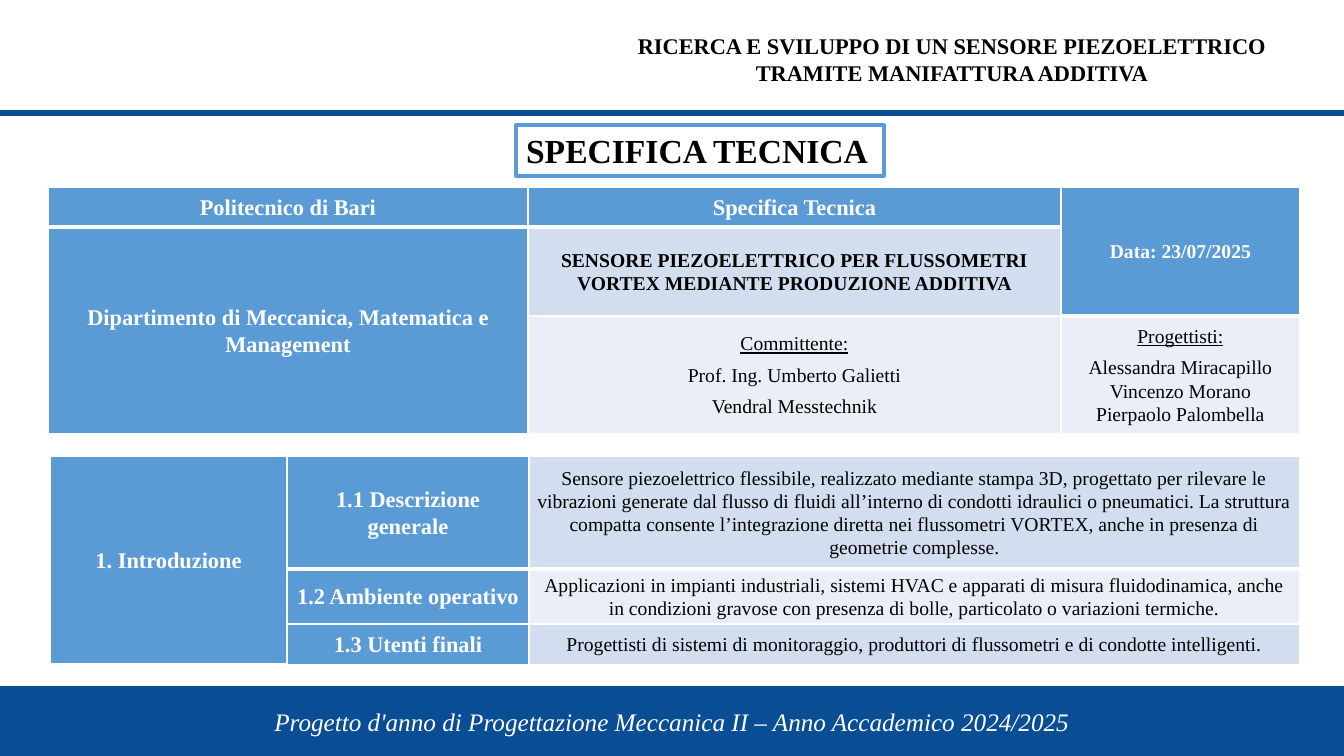
from dataclasses import dataclass

from lxml.etree import SubElement
from pptx import Presentation
from pptx.dml.color import RGBColor as Rgb
from pptx.enum.shapes import MSO_CONNECTOR as Link, MSO_SHAPE as Form
from pptx.enum.text import MSO_ANCHOR as Anchor, MSO_AUTO_SIZE as Auto, PP_ALIGN as Align
from pptx.oxml.ns import qn
from pptx.util import Emu, Pt

WIDE, HIGH = 1344, 756


@dataclass(frozen=True)
class Theme:
    """Colours, font and type sizes of the slide."""
    font: str = "Times New Roman"
    navy: str = "094D94"
    blue: str = "5B9BD5"
    band: str = "D2DEEF"
    pale: str = "EAEFF7"
    white: str = "FFFFFF"
    black: str = "000000"
    title: int = 24
    foot: int = 18
    head: int = 16
    body: int = 14


LOOK = Theme()


def px(size):
    """Turn whole pixels into EMU."""
    return Emu(round(size * 914400 / 100.8))


def write(frame, text, size=LOOK.body, color=LOOK.black, bold=False, italic=False,
          under=False, align=Align.CENTER, space=1.0, before=0, after=0):
    """Add one paragraph per line of text, all in the same format."""
    for line in text.split("\n"):
        para = frame.add_paragraph() if frame.text else frame.paragraphs[0]
        para.alignment, para.line_spacing = align, space
        para.space_before, para.space_after = Pt(before), Pt(after)
        run = para.add_run()
        run.text = line
        font = run.font
        font.name, font.size = LOOK.font, Pt(size)
        font.bold, font.italic, font.underline = bold, italic, under
        font.color.rgb = Rgb.from_string(color)


def stroke(line, color, width):
    """Give a line its colour and width in points."""
    line.color.rgb = Rgb.from_string(color)
    line.width = Pt(width)


def place(shape, left, top, width, height):
    """Set the place and size of a shape."""
    shape.left, shape.top = px(left), px(top)
    shape.width, shape.height = px(width), px(height)


def rule(slide, top):
    """Draw the line under the header."""
    line = slide.shapes.add_connector(Link.STRAIGHT, px(-2), px(top), px(WIDE), px(top))
    stroke(line.line, LOOK.navy, 4)
    SubElement(line._element.spPr, qn("a:effectLst"))


def header(slide, text):
    """Add the project name at the top right."""
    box = slide.shapes.add_textbox(px(592), px(27), px(720), px(65))
    box.text_frame.word_wrap = True
    write(box.text_frame, text, size=LOOK.head, bold=True)


def heading(slide, text):
    """Format the title placeholder as a framed box."""
    title = slide.shapes.title
    place(title, 516, 125, 368, 51)
    stroke(title.line, LOOK.blue, 3)
    frame = title.text_frame
    frame.word_wrap, frame.auto_size = True, Auto.NONE
    frame.vertical_anchor = Anchor.TOP
    write(frame, text, size=LOOK.title, bold=True, align=Align.LEFT)


def footer(slide, text):
    """Add the band at the foot of the slide."""
    top = 687
    bar = slide.shapes.add_shape(Form.RECTANGLE, 0, px(top), px(WIDE), px(HIGH - top))
    bar.shadow.inherit = False
    bar.fill.solid()
    bar.fill.fore_color.rgb = Rgb.from_string(LOOK.navy)
    stroke(bar.line, LOOK.navy, 1)
    bar.text_frame.vertical_anchor = Anchor.MIDDLE
    write(bar.text_frame, text, size=LOOK.foot, color=LOOK.white, italic=True)


def border(cell, first):
    """Add white cell borders, thick below the first row."""
    props = cell._tc.get_or_add_tcPr()
    for spot, side in enumerate(("lnL", "lnR", "lnT", "lnB")):
        width = 3 if first and side == "lnB" else 1
        edge = props.makeelement(qn(f"a:{side}"), {"w": str(Pt(width))})
        fill = SubElement(edge, qn("a:solidFill"))
        SubElement(fill, qn("a:srgbClr"), val=LOOK.white)
        props.insert(spot, edge)


def grid(slide, left, top, cols, rows, spans):
    """Add a plain table with merged cells and white borders."""
    frame = slide.shapes.add_table(len(rows), len(cols), px(left), px(top),
                                   px(sum(cols)), px(sum(rows)))
    table = frame.table
    table.first_row = table.horz_banding = False
    for col, width in zip(table.columns, cols):
        col.width = px(width)
    for row, height in zip(table.rows, rows):
        row.height = px(height)
    for start, end in spans:
        table.cell(*start).merge(table.cell(*end))
    for at, row in enumerate(table.rows):
        for cell in row.cells:
            border(cell, at == 0)
    return table


def fill(table, row, col, color):
    """Colour and pad one cell, and return its text frame."""
    cell = table.cell(row, col)
    cell.fill.solid()
    cell.fill.fore_color.rgb = Rgb.from_string(color)
    cell.vertical_anchor = Anchor.MIDDLE
    cell.margin_left = cell.margin_right = px(7)
    cell.margin_top = cell.margin_bottom = 0
    return cell.text_frame


def label(table, row, col, text, size=LOOK.head):
    """Fill a blue cell with bold white text."""
    write(fill(table, row, col, LOOK.blue), text, size=size, color=LOOK.white,
          bold=True, space=1.07, before=12, after=12)


def entry(table, row, col, text, color, bold=False):
    """Fill a light cell with black text."""
    write(fill(table, row, col, color), text, bold=bold, space=1.07, before=12, after=12)


def people(table, row, col, role, names, after):
    """Fill a light cell with an underlined role and its names."""
    frame = fill(table, row, col, LOOK.pale)
    write(frame, role, under=True, space=1.07, after=6)
    write(frame, names, space=1.07, after=after)


def summary(slide):
    """Add the table of project data."""
    table = grid(slide, 48, 187, (480, 533, 239), (40, 89, 118),
                 (((0, 2), (1, 2)), ((1, 0), (2, 0))))
    label(table, 0, 0, "Politecnico di Bari")
    label(table, 0, 1, "Specifica Tecnica")
    label(table, 0, 2, "Data: 23/07/2025", size=LOOK.body)
    label(table, 1, 0, "Dipartimento di Meccanica, Matematica e Management")
    entry(table, 1, 1, "SENSORE PIEZOELETTRICO PER FLUSSOMETRI VORTEX MEDIANTE "
          "PRODUZIONE ADDITIVA", LOOK.band, bold=True)
    people(table, 2, 1, "Committente:",
           "Prof. Ing. Umberto Galietti\nVendral Messtechnik", 6)
    people(table, 2, 2, "Progettisti:",
           "Alessandra Miracapillo\nVincenzo Morano\nPierpaolo Palombella", 0)


def intro(slide):
    """Add the table of the introduction."""
    table = grid(slide, 50, 456, (237, 242, 771), (113, 55, 41), (((0, 0), (2, 0)),))
    label(table, 0, 0, "1. Introduzione")
    parts = (
        ("1.1 Descrizione generale",
         "Sensore piezoelettrico flessibile, realizzato mediante stampa 3D, progettato per "
         "rilevare le vibrazioni generate dal flusso di fluidi all’interno di condotti "
         "idraulici o pneumatici. La struttura compatta consente l’integrazione diretta nei "
         "flussometri VORTEX, anche in presenza di geometrie complesse."),
        ("1.2 Ambiente operativo",
         "Applicazioni in impianti industriali, sistemi HVAC e apparati di misura "
         "fluidodinamica, anche in condizioni gravose con presenza di bolle, particolato o "
         "variazioni termiche."),
        ("1.3 Utenti finali",
         "Progettisti di sistemi di monitoraggio, produttori di flussometri e di condotte "
         "intelligenti."),
    )
    for row, (name, text) in enumerate(parts):
        label(table, row, 1, name)
        entry(table, row, 2, text, LOOK.pale if row % 2 else LOOK.band)


def main():
    """Build the slide and save it."""
    deck = Presentation()
    deck.slide_width, deck.slide_height = px(WIDE), px(HIGH)
    slide = deck.slides.add_slide(deck.slide_layouts[5])
    rule(slide, 113)
    footer(slide, "Progetto d'anno di Progettazione Meccanica II – Anno Accademico 2024/2025")
    header(slide, "RICERCA E SVILUPPO DI UN SENSORE PIEZOELETTRICO TRAMITE MANIFATTURA ADDITIVA")
    intro(slide)
    heading(slide, "SPECIFICA TECNICA")
    summary(slide)
    deck.save("out.pptx")


if __name__ == "__main__":
    main()
